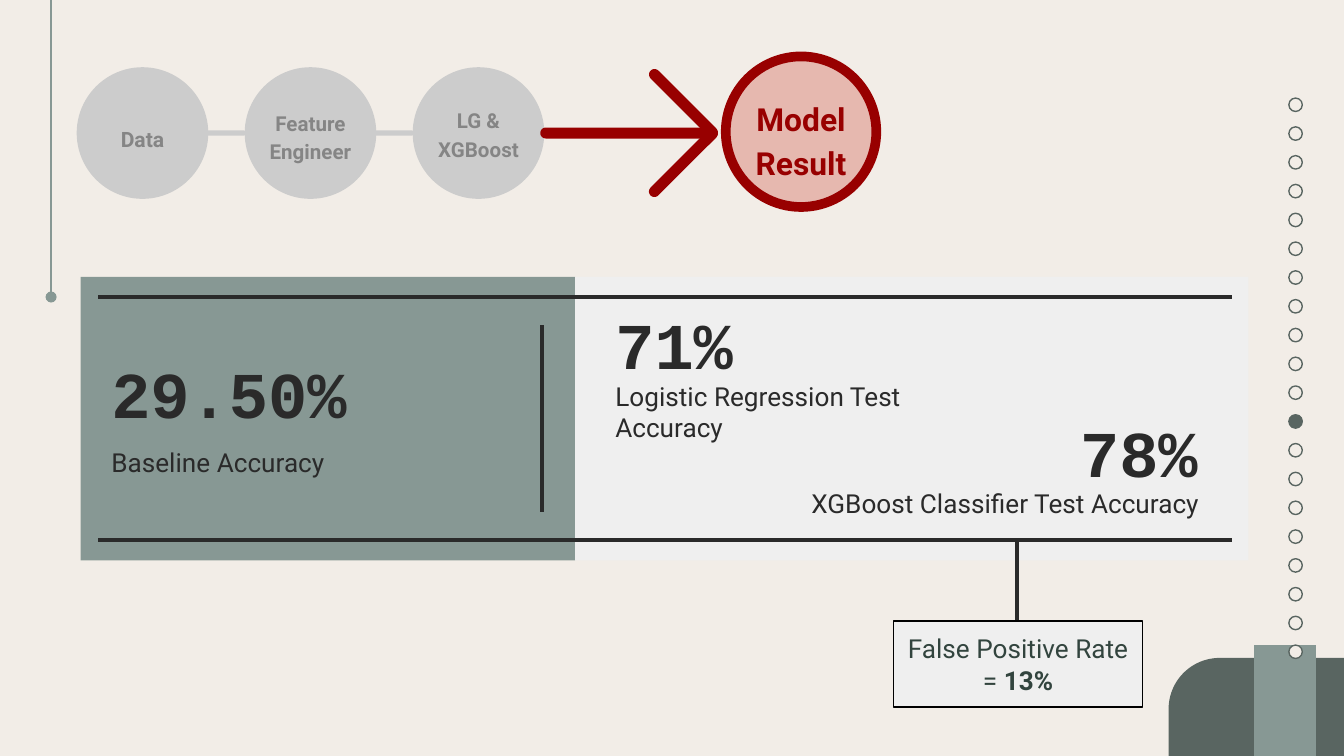
"""Build the model result slide with its step chain, score panel and side dots."""
import dataclasses

import pptx
import pptx.dml.color
import pptx.enum.shapes
import pptx.enum.text
import pptx.oxml.ns
import pptx.util
from lxml import etree

Inches = pptx.util.Inches
Pt = pptx.util.Pt
Kind = pptx.enum.shapes.MSO_SHAPE
Align = pptx.enum.text.PP_ALIGN
Anchor = pptx.enum.text.MSO_ANCHOR


@dataclasses.dataclass(frozen=True)
class Theme:
    """Colours, fonts and type sizes of the slide."""
    paper: str = "F2EDE7"
    slate: str = "596561"
    sage: str = "879894"
    mist: str = "EFEFEF"
    ink: str = "2A2A2A"
    black: str = "000000"
    pine: str = "32443E"
    grey: str = "CCCCCC"
    dim: str = "858585"
    red: str = "980000"
    pink: str = "E6B8AF"
    sans: str = "Roboto"
    mono: str = "Courier New"
    first: float = 11.3
    step: float = 11
    body: float = 14
    goal: float = 17
    score: float = 35


T = Theme()


def tint(code):
    """Return a colour from its hex code."""
    return pptx.dml.color.RGBColor.from_string(code)


def apply(item, form):
    """Set each format value on the item."""
    for name, value in form.items():
        setattr(item, name, value)


def add_tag(parent, name, **values):
    """Append an empty drawing element."""
    etree.SubElement(parent, pptx.oxml.ns.qn(name), values)


def draw(slide, kind, box, fill, edge=None, width=0.75, turn=0):
    """Add a filled preset shape."""
    shape = slide.shapes.add_shape(kind, *map(Inches, box))
    shape.shadow.inherit = False
    shape.rotation = turn
    shape.fill.solid()
    shape.fill.fore_color.rgb = tint(fill)
    if edge:
        shape.line.color.rgb = tint(edge)
        shape.line.width = Pt(width)
    else:
        shape.line.fill.background()
    return shape


def rule(slide, ends, color, width, dot=False):
    """Add a straight line, with a round end if asked."""
    line = slide.shapes.add_connector(
        pptx.enum.shapes.MSO_CONNECTOR.STRAIGHT, *map(Inches, ends))
    line.line.color.rgb = tint(color)
    line.line.width = Pt(width)
    if dot:
        add_tag(line.line._get_or_add_ln(), "a:tailEnd", type="oval")
    add_tag(line._element.spPr, "a:effectLst")


def write(shape, rows, size, color, font=T.sans, align=Align.LEFT,
          anchor=Anchor.TOP, inset=0.1, **space):
    """Fill a shape with rows of (text, bold) runs."""
    frame = shape.text_frame
    apply(frame, {"word_wrap": True, "vertical_anchor": anchor})
    apply(frame, {"margin_" + side: Inches(inset)
                  for side in ("left", "top", "right", "bottom")})
    for index, row in enumerate(rows):
        para = frame.add_paragraph() if index else frame.paragraphs[0]
        apply(para, {"alignment": align, **space})
        for words, bold in row:
            run = para.add_run()
            run.text = words
            apply(run.font, {"name": font, "size": Pt(size), "bold": bold})
            run.font.color.rgb = tint(color)


def label(slide, box, words, size, color, bold=False, **form):
    """Add a text box with one paragraph."""
    shape = slide.shapes.add_textbox(*map(Inches, box))
    write(shape, [[(words, bold)]], size, color, **form)


def bar(slide, box, color, edge=None, turn=0):
    """Add a thin bar with round ends."""
    shape = draw(slide, Kind.ROUNDED_RECTANGLE, box, color, edge, 3, turn)
    shape.adjustments[0] = 0.5


def frame_side(slide):
    """Draw the corner, the hanging line and the dots."""
    corner = draw(slide, Kind.ROUND_1_RECTANGLE, (8.97, 4.62, 0.76, 1.31),
                  T.slate, turn=270)
    corner.adjustments[0] = 0.5
    draw(slide, Kind.RECTANGLE, (9.13, 5, 0.86, 0.46), T.sage, turn=90)
    rule(slide, (0.38, 0, 0.38, 2.21), T.sage, 1.5, dot=True)
    count, top, base, active = 20, 0.73, 4.8, 11
    for index in range(count):
        place = top + index * (base - top) / (count - 1)
        draw(slide, Kind.OVAL, (9.59, place, 0.1, 0.1),
             T.slate if index == active else T.paper, T.slate)


def chain(slide):
    """Draw the past steps, the arrow and the goal."""
    form = {"align": Align.CENTER, "line_spacing": 1.15}
    past = {"inset": 0.14, "space_after": Pt(22.6), **form}
    names = ("Data", None), ("Feature Engineer", 0.66), ("LG & XGBoost", 0.64)
    for index, (words, top) in enumerate(names):
        left = 0.6 + index * 1.25
        draw(slide, Kind.OVAL, (left, 0.53, 0.92, 0.92), T.grey, T.grey, 4.25)
        if index:
            label(slide, (left, top, 0.92, 0.67), words, T.step, T.dim, True, **past)
            bar(slide, (left - 0.33, 0.97, 0.31, 0.04), T.grey)
        else:
            plate = draw(slide, Kind.RECTANGLE, (0.72, 0.77, 0.68, 0.5),
                         T.grey, T.grey)
            write(plate, [[(words, True)]], T.first, T.dim, **past)
    draw(slide, Kind.OVAL, (5.4, 0.42, 1.12, 1.12), T.pink, T.red, 5.18)
    label(slide, (5.4, 0.53, 1.12, 0.81), "Model Result", T.goal, T.red, True,
          inset=0.17, space_after=Pt(27.6), **form)
    bar(slide, (4.04, 0.97, 1.28, 0.04), T.red, T.red)
    for top, turn in ((0.75, 45), (1.19, 315)):
        bar(slide, (4.76, top, 0.65, 0.04), T.red, T.red, turn)


def panel(slide):
    """Draw the score panel with its rules and figures."""
    draw(slide, Kind.RECTANGLE, (0.6, 2.06, 3.68, 2.11), T.sage)
    draw(slide, Kind.RECTANGLE, (4.28, 2.06, 5.01, 2.11), T.mist)
    for ends in ((0.73, 4.02, 9.17, 4.02), (0.73, 2.21, 9.17, 2.21),
                 (4.03, 2.42, 4.03, 3.81), (7.57, 4.02, 7.57, 4.62)):
        rule(slide, ends, T.ink, 2.25)
    scores = (
        ("29.50%", (0.73, 2.53, 2.27, 0.91), Anchor.TOP,
         "Baseline Accuracy", (0.73, 3.22, 2.07, 0.49), Align.LEFT),
        ("78%", (7.92, 3.01, 1.09, 0.69), Anchor.MIDDLE,
         "XGBoost Classifier Test Accuracy", (5.69, 3.53, 3.33, 0.64), Align.RIGHT),
        ("71%", (4.48, 2.21, 1.21, 0.69), Anchor.MIDDLE,
         "Logistic Regression Test Accuracy", (4.48, 2.73, 3.08, 0.49), Align.LEFT),
    )
    for score, spot, anchor, words, box, align in scores:
        label(slide, spot, score, T.score, T.ink, True, font=T.mono,
              align=align, anchor=anchor)
        label(slide, box, words, T.body, T.ink, align=align,
              space_after=Pt(16))


def note(slide):
    """Draw the box with the false positive rate."""
    shape = draw(slide, Kind.RECTANGLE, (6.65, 4.62, 1.85, 0.64), T.mist, T.black)
    rows = [[("False Positive Rate", False)], [("= ", False), ("13%", True)]]
    write(shape, rows, T.body, T.pine, align=Align.CENTER, anchor=Anchor.MIDDLE)


def main():
    """Build and save the deck."""
    deck = pptx.Presentation()
    wide = Inches(10)
    apply(deck, {"slide_width": wide, "slide_height": wide * 9 // 16})
    slide = deck.slides.add_slide(deck.slide_layouts[6])
    slide.background.fill.solid()
    slide.background.fill.fore_color.rgb = tint(T.paper)
    for part in (frame_side, chain, panel, note):
        part(slide)
    deck.save("out.pptx")


if __name__ == "__main__":
    main()
